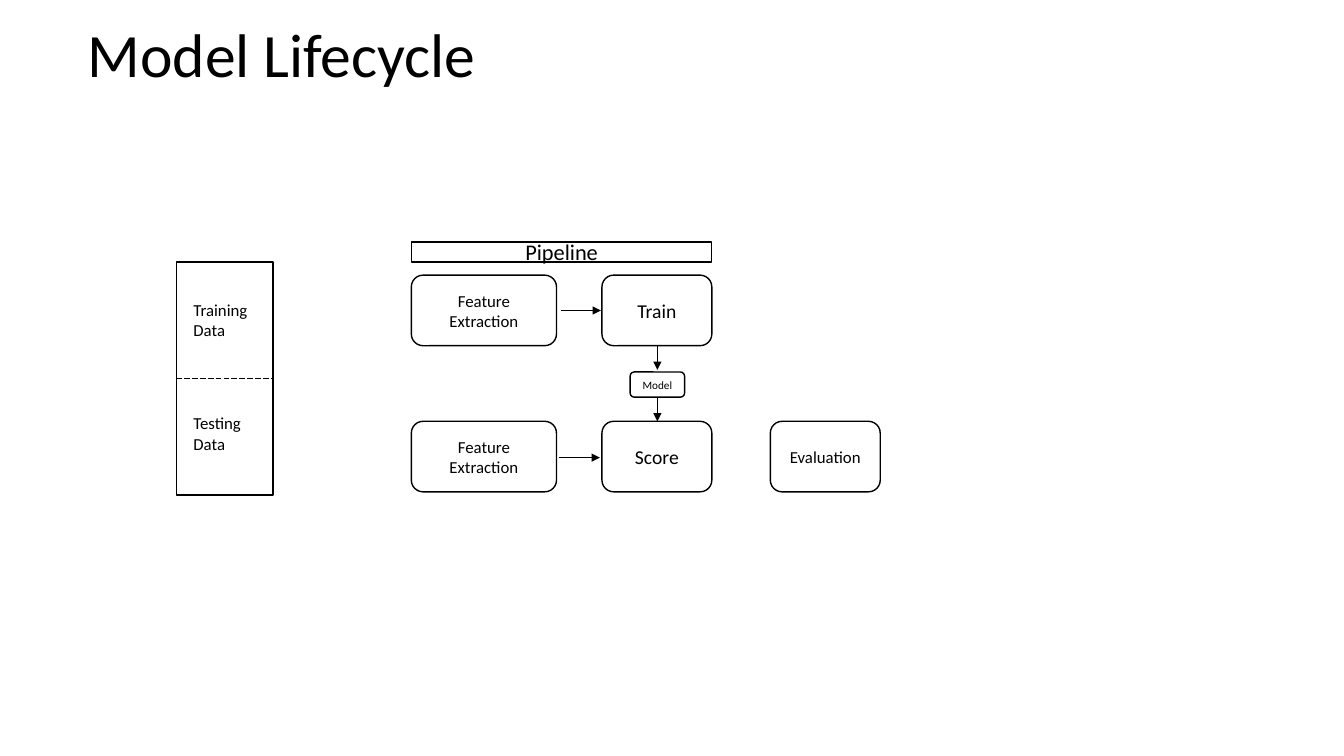
"""Build the Model Lifecycle slide."""
from lxml import etree
from pptx import Presentation
from pptx.dml.color import RGBColor
from pptx.enum.dml import MSO_LINE
from pptx.enum.shapes import MSO_CONNECTOR, MSO_SHAPE
from pptx.enum.text import MSO_ANCHOR, PP_ALIGN
from pptx.oxml.ns import qn
from pptx.util import Inches, Pt

RECT, ROUND = MSO_SHAPE.RECTANGLE, MSO_SHAPE.ROUNDED_RECTANGLE
STRAIGHT, DASH = MSO_CONNECTOR.STRAIGHT, MSO_LINE.LONG_DASH
MIDDLE, TOP = MSO_ANCHOR.MIDDLE, MSO_ANCHOR.TOP
CENTER, LEFT = PP_ALIGN.CENTER, PP_ALIGN.LEFT
BLACK, WHITE = "000000", "FFFFFF"


def color(value):
    return RGBColor.from_string(value)


def write(sp, text, size, align, anchor):
    tf = sp.text_frame
    tf.word_wrap = True
    tf.vertical_anchor = anchor
    tf.text = text
    p = tf.paragraphs[0]
    p.alignment = align
    for r in p.runs:
        r.font.name = "Calibri"
        r.font.size = Pt(size)
        r.font.color.rgb = color(BLACK)


prs = Presentation()
prs.slide_width, prs.slide_height = Inches(13.33), Inches(7.5)
s = prs.slides.add_slide(prs.slide_layouts[6])

feature_x, step_x, eval_x = 4.08, 5.97, 7.64
train_y, score_y = 2.73, 4.18
feature_w, step_w, step_h = 1.44, 1.09, 0.7
data_x, data_w, split_y = 1.75, 0.96, 3.75
model_x = 6.52

boxes = [
    (RECT, data_x, 2.6, data_w, 2.31, "", 12),
    (ROUND, feature_x, train_y, feature_w, step_h, "Feature Extraction", 12),
    (ROUND, step_x, train_y, step_w, step_h, "Train", 14),
    (ROUND, feature_x, score_y, feature_w, step_h, "Feature Extraction", 12),
    (ROUND, step_x, score_y, step_w, step_h, "Score", 14),
    (ROUND, eval_x, score_y, step_w, step_h, "Evaluation", 12),
    (ROUND, 6.25, 3.69, 0.54, 0.25, "Model", 8),
    (RECT, feature_x, 2.4, step_x + step_w - feature_x, 0.2, "Pipeline", 16),
]
for shape, x, y, w, h, text, size in boxes:
    sp = s.shapes.add_shape(shape, Inches(x), Inches(y), Inches(w), Inches(h))
    sp.shadow.inherit = False
    sp.fill.solid()
    sp.fill.fore_color.rgb = color(WHITE)
    sp.line.color.rgb = color(BLACK)
    sp.line.width = Pt(1)
    if text:
        write(sp, text, size, CENTER, MIDDLE)

labels = [
    ("Model Lifecycle", 0.77, 0.13, 11.5, 0.88, 44, MIDDLE),
    ("Training Data", 1.82, 2.92, 0.81, 0.5, 12, TOP),
    ("Testing Data", 1.82, 4.05, 0.81, 0.5, 12, TOP),
]
for text, x, y, w, h, size, anchor in labels:
    sp = s.shapes.add_textbox(Inches(x), Inches(y), Inches(w), Inches(h))
    write(sp, text, size, LEFT, anchor)
    if size == 44:
        sp.text_frame.paragraphs[0].line_spacing = 0.9

lines = [
    (data_x, split_y, data_x + data_w, split_y, False),
    (model_x, train_y + step_h, model_x, 3.67, True),
    (model_x, 3.95, model_x, score_y, True),
    (5.56, 3.08, 5.96, 3.08, True),
    (5.54, 4.54, 5.95, 4.54, True),
]
for x1, y1, x2, y2, arrow in lines:
    sp = s.shapes.add_connector(STRAIGHT, Inches(x1), Inches(y1), Inches(x2), Inches(y2))
    sp.line.color.rgb = color(BLACK)
    sp.line.width = Pt(0.5)
    if arrow:
        etree.SubElement(sp.line._get_or_add_ln(), qn("a:tailEnd"), type="triangle")
    else:
        sp.line.dash_style = DASH
    etree.SubElement(sp._element.spPr, qn("a:effectLst"))

prs.save("out.pptx")
